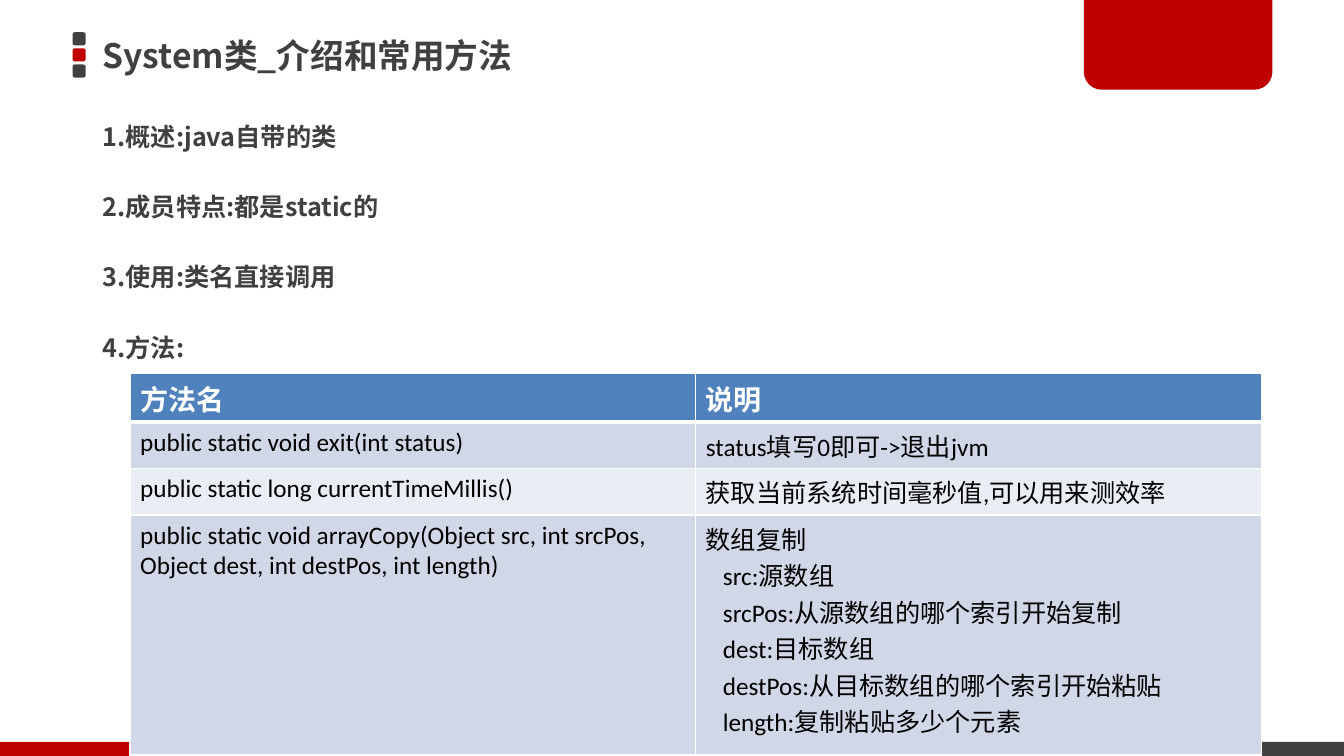
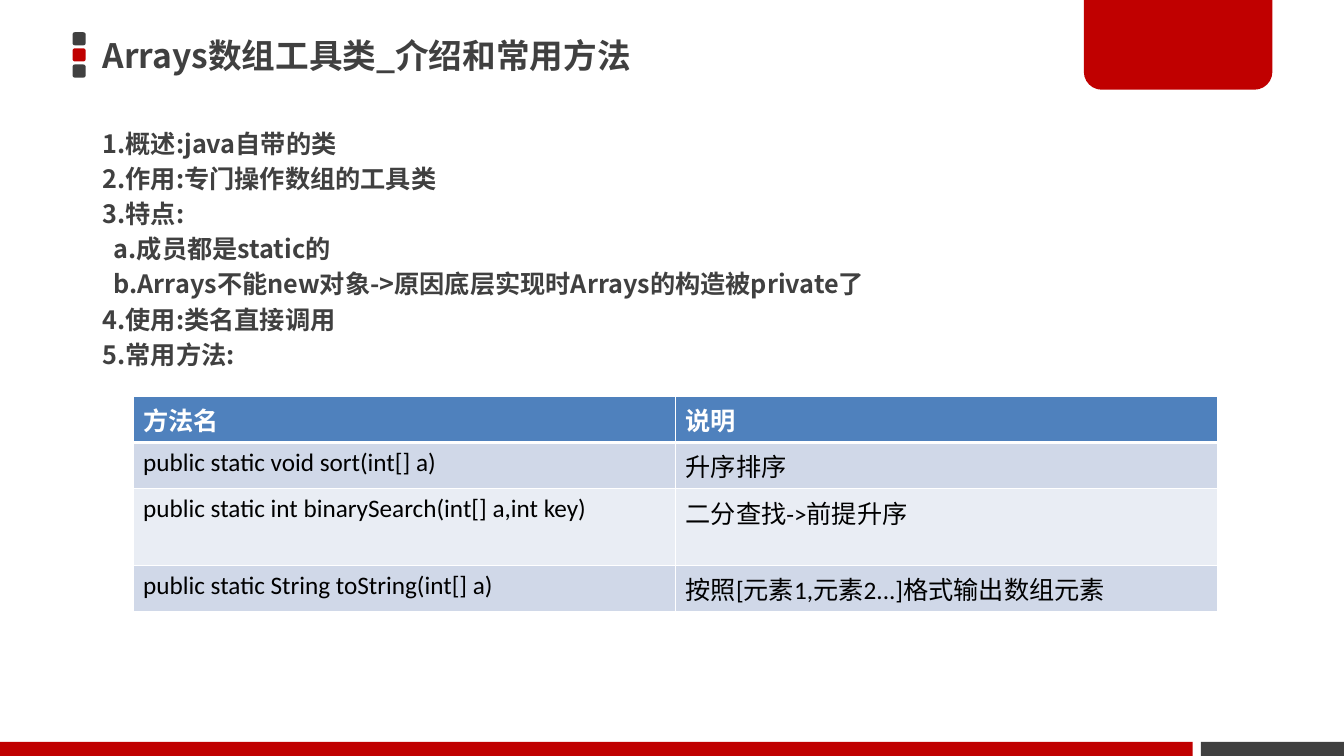
"""Build two slides that introduce the System and Arrays classes."""
from dataclasses import dataclass

from lxml import etree
from pptx import Presentation
from pptx.dml.color import RGBColor
from pptx.enum.shapes import MSO_SHAPE
from pptx.enum.text import MSO_ANCHOR
from pptx.oxml.ns import qn
from pptx.util import Inches, Pt

RECTANGLE = MSO_SHAPE.RECTANGLE
ROUNDED = MSO_SHAPE.ROUNDED_RECTANGLE
ROUNDED_PAIR = MSO_SHAPE.ROUND_2_SAME_RECTANGLE
TOP, MIDDLE = MSO_ANCHOR.TOP, MSO_ANCHOR.MIDDLE

RED, GRAY, WHITE, BLACK = "C00000", "404040", "FFFFFF", "000000"
HEADER_FILL = "4F81BD"
BAND_FILLS = ("E9EDF4", "D0D8E8")
HEADING_FONT, CELL_FONT = "Noto Sans CJK JP", "Calibri"
LINE_PITCH = 25.14


@dataclass(frozen=True)
class Line:
    text: str
    indent: float = 0


@dataclass(frozen=True)
class Block:
    shape: int
    left: float
    top: float
    width: float
    height: float
    color: str
    corners: tuple[float, ...] = ()


@dataclass(frozen=True)
class MethodTable:
    left: float
    top: float
    column_width: float
    header_size: float
    row_heights: tuple[float, ...]
    rows: tuple[tuple[str, tuple[Line, ...]], ...]


@dataclass(frozen=True)
class Topic:
    title: str
    body_top: float
    line_gap: float
    lines: tuple[Line, ...]
    table: MethodTable


FRAME = (
    *(Block(ROUNDED, 0.72, 0.32 + 0.16 * index, 0.13, 0.13, color, (0.17,))
      for index, color in enumerate((GRAY, RED, GRAY))),
    Block(RECTANGLE, 11.91, 7.36, 1.42, 0.14, GRAY),
    Block(ROUNDED_PAIR, 10.75, 0, 1.87, 0.89, RED, (0, 0.2)),
    Block(RECTANGLE, 0, 7.36, 11.83, 0.14, RED),
)

TOPICS = (
    Topic(
        "System类_介绍和常用方法", 1.15, LINE_PITCH,
        (
            Line("1.概述:java自带的类"),
            Line("2.成员特点:都是static的"),
            Line("3.使用:类名直接调用"),
            Line("4.方法:"),
        ),
        MethodTable(1.29, 3.7, 5.61, 20, (0.49, 0.46, 0.46, 2.38), (
            ("public static void exit(int status)",
             (Line("status填写0即可->退出jvm"),)),
            ("public static long currentTimeMillis()",
             (Line("获取当前系统时间毫秒值,可以用来测效率"),)),
            ("public static void arrayCopy(Object src, int srcPos, "
             "Object dest, int destPos, int length)",
             (
                 Line("数组复制"),
                 Line("src:源数组", 0.17),
                 Line("srcPos:从源数组的哪个索引开始复制", 0.17),
                 Line("dest:目标数组", 0.17),
                 Line("destPos:从目标数组的哪个索引开始粘贴", 0.17),
                 Line("length:复制粘贴多少个元素", 0.17),
             )),
        )),
    ),
    Topic(
        "Arrays数组工具类_介绍和常用方法", 1.22, 0,
        (
            Line("1.概述:java自带的类"),
            Line("2.作用:专门操作数组的工具类"),
            Line("3.特点:"),
            Line("a.成员都是static的", 0.11),
            Line("b.Arrays不能new对象->原因底层实现时Arrays的构造被private了", 0.11),
            Line("4.使用:类名直接调用"),
            Line("5.常用方法:"),
        ),
        MethodTable(1.32, 3.93, 5.38, 18, (0.46, 0.46, 0.76, 0.46), (
            ("public static void sort(int[] a)", (Line("升序排序"),)),
            ("public static int binarySearch(int[] a,int key)",
             (Line("二分查找->前提升序"),)),
            ("public static String toString(int[] a)",
             (Line("按照[元素1,元素2...]格式输出数组元素"),)),
        )),
    ),
)


def rgb(color: str) -> RGBColor:
    return RGBColor.from_string(color)


def write_lines(frame, lines: tuple[Line, ...], *, size: float, color: str,
                font: str, bold: bool, pitch: float = 0, gap: float = 0) -> None:
    for index, line in enumerate(lines):
        para = frame.add_paragraph() if index else frame.paragraphs[0]
        para.space_before, para.space_after = Pt(0), Pt(gap)
        if pitch:
            para.line_spacing = Pt(pitch)
        if line.indent:
            para._p.get_or_add_pPr().set("marL", str(Inches(line.indent)))
        span = para.add_run()
        span.text = line.text
        span.font.size, span.font.bold = Pt(size), bold
        span.font.name = font
        span.font.color.rgb = rgb(color)
        properties = span.font._element
        properties.set("lang", "zh-CN")
        latin = properties.find(qn("a:latin"))
        east_asian = etree.Element(qn("a:ea"), typeface=HEADING_FONT)
        latin.addnext(east_asian)


def add_block(page, block: Block) -> None:
    shape = page.shapes.add_shape(
        block.shape, Inches(block.left), Inches(block.top),
        Inches(block.width), Inches(block.height))
    shape.shadow.inherit = False
    shape.fill.solid()
    shape.fill.fore_color.rgb = rgb(block.color)
    shape.line.fill.background()
    for index, corner in enumerate(block.corners):
        shape.adjustments[index] = corner


def add_text(page, top: float, width: float, height: float,
             lines: tuple[Line, ...], *, anchor, size: float,
             pitch: float = 0, gap: float = 0) -> None:
    box = page.shapes.add_textbox(
        Inches(0.92), Inches(top), Inches(width), Inches(height))
    frame = box.text_frame
    frame.word_wrap = True
    frame.vertical_anchor = anchor
    frame.margin_top = frame.margin_bottom = 0
    write_lines(frame, lines, size=size, color=GRAY, font=HEADING_FONT,
                bold=True, pitch=pitch, gap=gap)


def set_borders(cell, row: int) -> None:
    properties = cell._tc.get_or_add_tcPr()
    widths = {"lnL": 1, "lnR": 1, "lnT": 3 if row == 1 else 1,
              "lnB": 3 if row == 0 else 1}
    for side, width in widths.items():
        border = etree.SubElement(properties, qn(f"a:{side}"), w=str(Pt(width)))
        fill = etree.SubElement(border, qn("a:solidFill"))
        etree.SubElement(fill, qn("a:srgbClr"), val=WHITE)


def add_method_table(page, spec_table: MethodTable) -> None:
    heights = spec_table.row_heights
    table = page.shapes.add_table(
        len(heights), 2, Inches(spec_table.left), Inches(spec_table.top),
        Inches(2 * spec_table.column_width), Inches(sum(heights))).table
    header = ((Line("方法名"),), (Line("说明"),))
    rows = [header] + [((Line(method),), notes) for method, notes in spec_table.rows]
    for row, (height, contents) in enumerate(zip(heights, rows)):
        table.rows[row].height = Inches(height)
        is_header = row == 0
        for column, lines in enumerate(contents):
            cell = table.cell(row, column)
            set_borders(cell, row)
            cell.fill.solid()
            cell.fill.fore_color.rgb = rgb(
                HEADER_FILL if is_header else BAND_FILLS[row % 2])
            write_lines(cell.text_frame, lines, font=CELL_FONT, bold=is_header,
                        size=spec_table.header_size if is_header else 18,
                        color=WHITE if is_header else BLACK)


def add_topic(deck, topic: Topic) -> None:
    page = deck.slides.add_slide(deck.slide_layouts[6])
    for block in FRAME:
        add_block(page, block)
    add_text(page, 0.26, 9.59, 0.57, (Line(topic.title),), anchor=MIDDLE, size=24)
    add_text(page, topic.body_top, 10.77, 2.45, topic.lines, anchor=TOP,
             size=18, pitch=LINE_PITCH, gap=topic.line_gap)
    add_method_table(page, topic.table)


def main() -> None:
    deck = Presentation()
    deck.slide_width, deck.slide_height = Inches(13.33), Inches(7.5)
    for topic in TOPICS:
        add_topic(deck, topic)
    deck.save("out.pptx")


if __name__ == "__main__":
    main()
